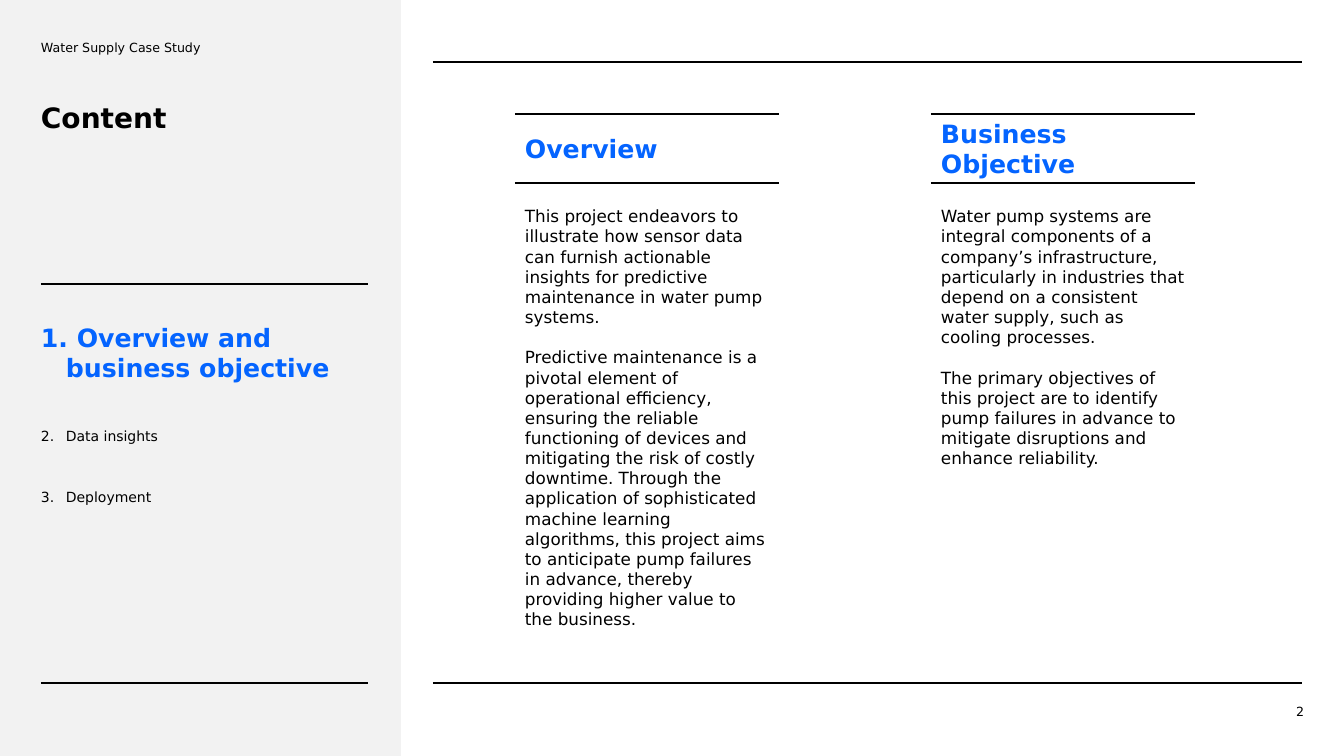
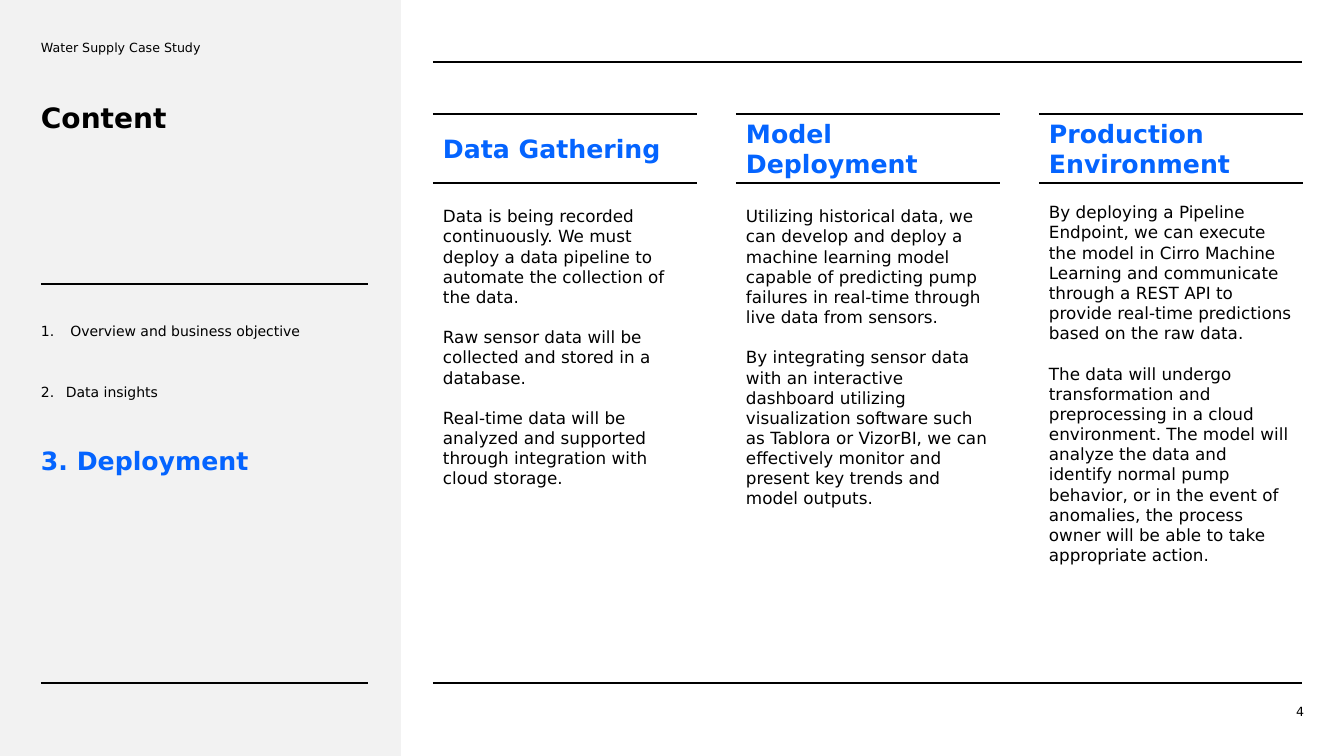
from lxml import etree
from pptx import Presentation
from pptx.dml.color import RGBColor
from pptx.enum.shapes import MSO_CONNECTOR, MSO_SHAPE
from pptx.enum.text import MSO_ANCHOR, PP_ALIGN
from pptx.oxml.ns import qn
from pptx.util import Emu, Pt

STRAIGHT = MSO_CONNECTOR.STRAIGHT
RECTANGLE = MSO_SHAPE.RECTANGLE
TOP, MIDDLE = MSO_ANCHOR.TOP, MSO_ANCHOR.MIDDLE
LEFT, RIGHT = PP_ALIGN.LEFT, PP_ALIGN.RIGHT

WIDTH, HEIGHT = 1344, 756
SCALE = 12192000 / WIDTH
COLORS = {"text": "000000", "accent": "0464FF", "panel": "F2F2F2"}
FONT = "DejaVu Sans"
FORMATS = {
    "small": {"size": Pt(9), "bold": False},
    "item": {"size": Pt(10), "bold": False},
    "body": {"size": Pt(12), "bold": False},
    "heading": {"size": Pt(18), "bold": True},
    "title": {"size": Pt(20), "bold": True},
}
FLUSH = (0, 5, 10, 5)
PADDED = (10, 5, 10, 5)
AGENDA = [" Overview and business objective", "Data insights", "Deployment"]
COLUMN_WIDTH = 264
HEADING_TOP, HEADING_BOTTOM = 114, 183

SLIDES = [
    {
        "number": 2, "active": 0, "left": 515, "step": 416,
        "columns": [
            ("Overview", 201, 397, [
                "This project endeavors to illustrate how sensor data can furnish "
                "actionable insights for predictive maintenance in water pump systems.",
                "Predictive maintenance is a pivotal element of operational efficiency, "
                "ensuring the reliable functioning of devices and mitigating the risk of "
                "costly downtime. Through the application of sophisticated machine "
                "learning algorithms, this project aims to anticipate pump failures in "
                "advance, thereby providing higher value to the business.",
            ]),
            ("Business Objective", 201, 275, [
                "Water pump systems are integral components of a company’s "
                "infrastructure, particularly in industries that depend on a consistent "
                "water supply, such as cooling processes.",
                "The primary objectives of this project are to identify pump failures in "
                "advance to mitigate disruptions and enhance reliability.",
            ]),
        ],
    },
    {
        "number": 4, "active": 2, "left": 433, "step": 303,
        "columns": [
            ("Data Gathering", 201, 254, [
                "Data is being recorded continuously. We must deploy a data pipeline to "
                "automate the collection of the data.",
                "Raw sensor data will be collected and stored in a database.",
                "Real-time data will be analyzed and supported through integration with "
                "cloud storage.",
            ]),
            ("Model Deployment", 201, 295, [
                "Utilizing historical data, we can develop and deploy a machine learning "
                "model capable of predicting pump failures in real-time through live data "
                "from sensors.",
                "By integrating sensor data with an interactive dashboard utilizing "
                "visualization software such as Tablora or VizorBI, we can effectively "
                "monitor and present key trends and model outputs.",
            ]),
            ("Production Environment", 197, 356, [
                "By deploying a Pipeline Endpoint, we can execute the model in Cirro "
                "Machine Learning and communicate through a REST API to provide "
                "real-time predictions based on the raw data.",
                "The data will undergo transformation and preprocessing in a cloud "
                "environment. The model will analyze the data and identify normal pump "
                "behavior, or in the event of anomalies, the process owner will be able "
                "to take appropriate action.",
            ]),
        ],
    },
]


def px(value):
    return Emu(round(value * SCALE))


def color(name):
    return RGBColor.from_string(COLORS[name])


class Deck:
    def __init__(self):
        self.presentation = Presentation()
        self.presentation.slide_width = px(WIDTH)
        self.presentation.slide_height = px(HEIGHT)
        self.slide = None

    def panel(self, *box):
        shape = self.slide.shapes.add_shape(RECTANGLE, *map(px, box))
        shape.shadow.inherit = False
        shape.fill.solid()
        shape.fill.fore_color.rgb = color("panel")
        shape.line.fill.background()

    def rule(self, left, right, y):
        line = self.slide.shapes.add_connector(
            STRAIGHT, px(left), px(y), px(right), px(y))
        line.line.color.rgb = color("text")
        line.line.width = Pt(1)
        etree.SubElement(line._element.spPr, qn("a:effectLst"))

    def frame(self, box, insets=PADDED, anchor=TOP):
        frame = self.slide.shapes.add_textbox(*map(px, box)).text_frame
        frame.word_wrap = True
        frame.vertical_anchor = anchor
        for side, inset in zip(("left", "top", "right", "bottom"), insets):
            setattr(frame, f"margin_{side}", px(inset))
        return frame

    def paragraph(self, frame, text, style, ink="text", **layout):
        first = frame.paragraphs[0]
        paragraph = frame.add_paragraph() if first.runs else first
        for name, value in layout.items():
            setattr(paragraph, name, value)
        run = paragraph.add_run()
        run.text = text
        run.font.name = FONT
        run.font.color.rgb = color(ink)
        for name, value in FORMATS[style].items():
            setattr(run.font, name, value)
        return paragraph

    def agenda(self, active):
        frame = self.frame((41, 317, 337, 308), FLUSH)
        for index, item in enumerate(AGENDA):
            if index == active:
                text, style, ink = f" {item.strip()}", "heading", "accent"
            else:
                text, style, ink = item, "item", "text"
            paragraph = self.paragraph(frame, text, style, ink, space_before=Pt(32))
            properties = paragraph._p.get_or_add_pPr()
            properties.set("marL", str(px(25)))
            properties.set("indent", str(px(-25)))
            etree.SubElement(properties, qn("a:buAutoNum"), type="arabicPeriod")

    def column(self, left, heading, top, height, texts):
        heading_box = (left, HEADING_TOP, COLUMN_WIDTH, HEADING_BOTTOM - HEADING_TOP)
        self.paragraph(self.frame(heading_box, anchor=MIDDLE),
                       heading, "heading", "accent")
        body = self.frame((left, top, COLUMN_WIDTH, height))
        for index, text in enumerate(texts):
            self.paragraph(body, text, "body", space_before=Pt(14.4 if index else 0))
        for y in (HEADING_TOP, HEADING_BOTTOM):
            self.rule(left, left + COLUMN_WIDTH, y)

    def add_slide(self, number, active, left, step, columns):
        self.slide = self.presentation.slides.add_slide(
            self.presentation.slide_layouts[6])
        self.panel(0, 0, 401, HEIGHT)
        self.paragraph(self.frame((41, 34, 320, 28), FLUSH, MIDDLE),
                       "Water Supply Case Study", "small", line_spacing=0.9)
        self.paragraph(self.frame((41, 96, 337, 87), FLUSH), "Content", "title")
        self.paragraph(self.frame((1275, 704, 29, 15), (0, 0, 0, 0)),
                       str(number), "small", alignment=RIGHT)
        for y in (284, 683):
            self.rule(41, 368, y)
        for y in (62, 683):
            self.rule(433, 1302, y)
        self.agenda(active)
        for index, column in enumerate(columns):
            self.column(left + index * step, *column)


def main():
    deck = Deck()
    for content in SLIDES:
        deck.add_slide(**content)
    deck.presentation.save("out.pptx")


if __name__ == "__main__":
    main()
